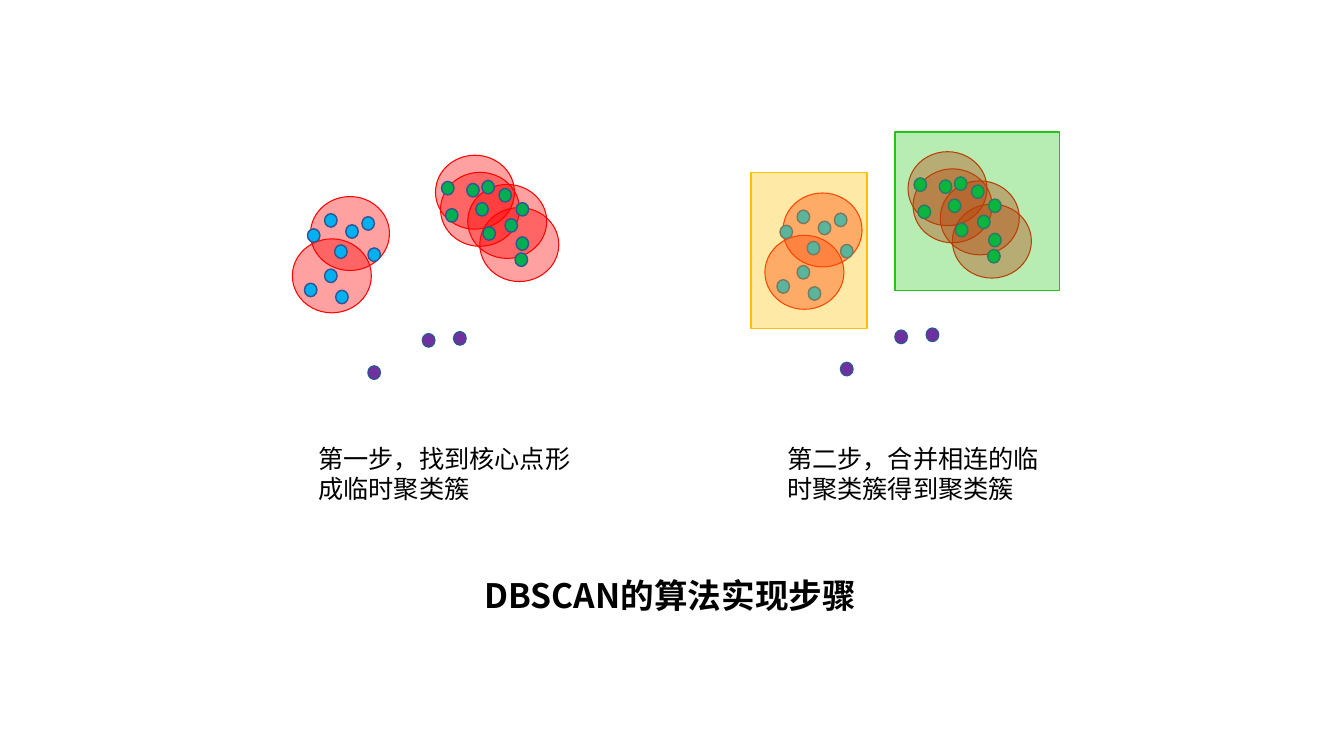
from typing import NamedTuple

from lxml.etree import SubElement
from pptx import Presentation
from pptx.dml.color import RGBColor
from pptx.enum.shapes import MSO_SHAPE as Shape
from pptx.oxml.ns import qn
from pptx.util import Inches, Pt

# One grid cell is a tenth of an inch wide and high.
CELL = Inches(0.1)
COLS, ROWS = 133.33, 75

RED = RGBColor(0xFF, 0x00, 0x00)
BLUE = RGBColor(0x00, 0xB0, 0xF0)
GREEN = RGBColor(0x00, 0xB0, 0x50)
PURPLE = RGBColor(0x70, 0x30, 0xA0)
NAVY = RGBColor(0x32, 0x54, 0x91)
AMBER = RGBColor(0xFF, 0xC0, 0x00)
LIME = RGBColor(0x22, 0xC4, 0x15)
BLACK = RGBColor(0x00, 0x00, 0x00)
FONT = "Noto Sans CJK SC"


class Style(NamedTuple):
    kind: Shape
    fill: RGBColor
    line: RGBColor
    weight: float = 1
    opacity: int = 100


class Box(NamedTuple):
    col: float
    row: float
    cols: float
    rows: float


class Group(NamedTuple):
    """Equal shapes, each placed by its top left corner."""
    style: Style
    cols: float
    rows: float
    spots: list[tuple[float, float]]


class Label(NamedTuple):
    text: str
    box: Box
    size: int
    bold: bool = False


def point_style(fill: RGBColor) -> Style:
    return Style(Shape.OVAL, fill, NAVY)


def cluster_style(color: RGBColor, opacity: int) -> Style:
    return Style(Shape.RECTANGLE, color, color, opacity=opacity)


NEIGHBOURHOOD = Style(Shape.OVAL, RED, RED, 0.75, 37)
POINT_SIZE = (1.24, 1.34)

SCATTER = [
    Group(NEIGHBOURHOOD, 7.84, 7.34, [
        (46.4, 18.3), (47.6, 20.6), (43.7, 17.1),
        (43.2, 15.4), (30.8, 19.5), (29.0, 23.7)]),
    Group(point_style(BLUE), *POINT_SIZE, [
        (34.3, 22.3), (32.2, 26.7), (33.2, 24.3), (36.5, 24.6), (33.3, 28.8),
        (30.2, 28.1), (35.9, 21.5), (30.5, 22.7), (32.2, 21.2)]),
    Group(point_style(GREEN), *POINT_SIZE, [
        (44.2, 20.7), (47.9, 22.5), (47.2, 20.1), (46.3, 18.2),
        (43.8, 18.0), (51.1, 25.1), (50.1, 21.7), (51.2, 23.5),
        (51.2, 20.1), (49.5, 18.7), (47.8, 17.9)]),
    Group(point_style(PURPLE), *POINT_SIZE, [
        (45.0, 32.9), (41.9, 33.1), (36.5, 36.3)]),
]
STEP_OFFSETS = [(0, 0), (46.88, -0.35)]

CLUSTERS = [
    (cluster_style(AMBER, 35), Box(74.5, 17.1, 11.5, 15.5)),
    (cluster_style(LIME, 32), Box(88.8, 13.1, 16.3, 15.7)),
]

LABELS = [
    Label("第一步，找到核心点形成临时聚类簇", Box(30.6, 43.5, 27.6, 7.1), 18),
    Label("第二步，合并相连的临时聚类簇得到聚类簇",
          Box(77.1, 43.5, 27.6, 7.1), 18),
    Label("DBSCAN的算法实现步骤", Box(47.1, 56.5, 39.9, 5), 24, True),
]


def cells(*counts: float) -> list[int]:
    return [round(CELL * n) for n in counts]


def add_figure(s, style: Style, box: Box) -> None:
    sp = s.shapes.add_shape(style.kind, *cells(*box))
    sp.shadow.inherit = False
    sp.fill.solid()
    sp.fill.fore_color.rgb = style.fill
    sp.line.color.rgb = style.line
    sp.line.width = Pt(style.weight)
    if style.opacity < 100:
        color = sp.fill._xPr.find(f"{qn('a:solidFill')}/{qn('a:srgbClr')}")
        SubElement(color, qn("a:alpha"), val=str(style.opacity * 1000))


def add_scatter(s, offset: tuple[float, float]) -> None:
    dx, dy = offset
    for group in SCATTER:
        for col, row in group.spots:
            box = Box(col + dx, row + dy, group.cols, group.rows)
            add_figure(s, group.style, box)


def add_label(s, label: Label) -> None:
    tf = s.shapes.add_textbox(*cells(*label.box)).text_frame
    tf.word_wrap = True
    tf.text = label.text
    p = tf.paragraphs[0]
    p.line_spacing = Pt(label.size * 1.2)
    r = p.runs[0]
    r.font.size = Pt(label.size)
    r.font.bold = label.bold
    r.font.name = FONT
    r.font.color.rgb = BLACK
    SubElement(r._r.get_or_add_rPr(), qn("a:ea"), typeface=FONT)


def main() -> None:
    prs = Presentation()
    prs.slide_width, prs.slide_height = cells(COLS, ROWS)
    s = prs.slides.add_slide(prs.slide_layouts[6])
    for offset in STEP_OFFSETS:
        add_scatter(s, offset)
    for style, box in CLUSTERS:
        add_figure(s, style, box)
    for label in LABELS:
        add_label(s, label)
    prs.save("out.pptx")


if __name__ == "__main__":
    main()
